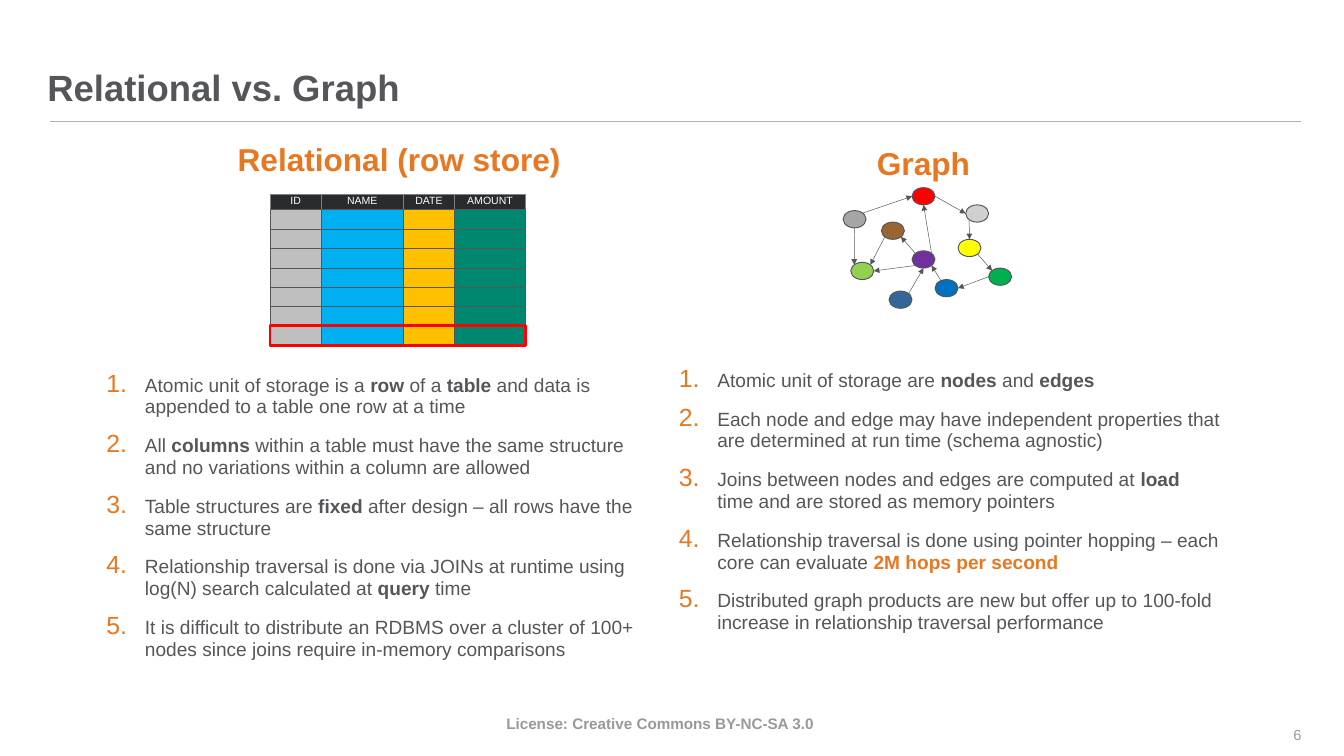
from dataclasses import dataclass
from itertools import accumulate

import pptx
import pptx.dml.color
import pptx.enum.shapes
import pptx.enum.text
import pptx.oxml
import pptx.oxml.ns
import pptx.util

ALIGN = pptx.enum.text.PP_ALIGN
ANCHOR = pptx.enum.text.MSO_ANCHOR
SHAPE = pptx.enum.shapes.MSO_SHAPE


@dataclass(frozen=True)
class Theme:
    """Colours and type sizes of the slide."""
    font: str = "Arial"
    ink: str = "55565A"
    accent: str = "E87722"
    rule: str = "B1B3B3"
    footer: str = "98999D"
    number: str = "999A9B"
    header: str = "2A2B2D"
    header_line: str = "808080"
    paper: str = "FFFFFF"
    alert: str = "FF0000"
    title_size: float = 38.2
    heading_size: float = 33.1
    list_size: float = 20
    footer_size: float = 16
    number_size: float = 15.3
    cell_size: float = 11


def rgb(code):
    """Return a colour from its hexadecimal code."""
    return pptx.dml.color.RGBColor.from_string(code)


def add_xml(parent, tag, **attributes):
    """Append a drawing element with the given attributes."""
    element = pptx.oxml.parse_xml(f"<a:{tag} {pptx.oxml.ns.nsdecls('a')}/>")
    for name, value in attributes.items():
        element.set(name, value)
    parent.append(element)
    return element


class SlideBuilder:
    """Draws styled elements; lengths are percentages of the slide size."""

    def __init__(self, deck, layout, theme):
        """Add a page with the given layout."""
        self.deck, self.theme = deck, theme
        self.page = deck.slides.add_slide(deck.slide_layouts[layout])
        self.canvas = self.page.shapes

    def begin_group(self):
        """Send the following shapes to a new group."""
        self.canvas = self.page.shapes.add_group_shape().shapes

    def lengths(self, x, y, *more):
        """Turn alternating width and height percentages into lengths."""
        sides = (self.deck.slide_width, self.deck.slide_height)
        return [round(share * sides[i % 2] / 100) for i, share in enumerate((x, y, *more))]

    def frame(self, box, anchor=ANCHOR.TOP, side=0):
        """Prepare the text frame of a box."""
        frame = box.text_frame
        frame.word_wrap = True
        frame.auto_size = pptx.enum.text.MSO_AUTO_SIZE.NONE
        frame.vertical_anchor = anchor
        frame.margin_top = frame.margin_bottom = 0
        frame.margin_left = frame.margin_right = pptx.util.Inches(side)
        return frame

    def style(self, para, size, color, bold=None, align=ALIGN.LEFT):
        """Set the font and alignment of a paragraph."""
        para.alignment = align
        para.font.name, para.font.size = self.theme.font, pptx.util.Pt(size)
        para.font.color.rgb, para.font.bold = rgb(color), bold

    def placeholder(self, index, area, anchor=ANCHOR.TOP):
        """Move a template placeholder and return its text frame."""
        box = self.page.placeholders[index]
        box.left, box.top, box.width, box.height = self.lengths(*area)
        return self.frame(box, anchor)

    def title(self, text, area):
        """Fill the title placeholder."""
        para = self.placeholder(0, area, ANCHOR.BOTTOM).paragraphs[0]
        para.text, para.line_spacing = text, 0.9
        self.style(para, self.theme.title_size, self.theme.ink, True)

    def heading(self, index, text, area):
        """Fill a column heading placeholder."""
        para = self.placeholder(index, area).paragraphs[0]
        para.text, para.line_spacing = text, 0.95
        para.space_before = pptx.util.Pt(0)
        self.style(para, self.theme.heading_size, self.theme.accent, True, ALIGN.CENTER)

    def numbered_list(self, index, items, area):
        """Fill a body placeholder; spans split at |, * is bold, ! is bold accent."""
        frame = self.placeholder(index, area)
        for i, item in enumerate(items):
            para = frame.add_paragraph() if i else frame.paragraphs[0]
            para.line_spacing = 0.95
            para.space_before = pptx.util.Pt(10.2 if i else 0)
            para.space_after = pptx.util.Pt(7.7)
            properties = para._p.get_or_add_pPr()
            indent = pptx.util.Inches(0.56)
            properties.set("marL", str(indent))
            properties.set("indent", str(-indent))
            add_xml(add_xml(properties, "buClr"), "srgbClr", val=self.theme.accent)
            add_xml(properties, "buSzPct", val="130000")
            add_xml(properties, "buFont", typeface=self.theme.font)
            add_xml(properties, "buAutoNum", type="arabicPeriod")
            self.style(para, self.theme.list_size, self.theme.ink)
            for part in item.split("|"):
                span = para.add_run()
                span.text = part.lstrip("*!")
                if part[0] in "*!":
                    span.font.bold = True
                if part[0] == "!":
                    span.font.color.rgb = rgb(self.theme.accent)

    def label(self, text, area, size, color, align, bold=None, anchor=ANCHOR.TOP):
        """Add a one-line text box."""
        box = self.canvas.add_textbox(*self.lengths(*area))
        para = self.frame(box, anchor).paragraphs[0]
        para.text = text
        self.style(para, size, color, bold, align)

    def shape(self, kind, area, fill=None, line=None, weight=1, text=None):
        """Add a preset shape, filled or hollow."""
        box = self.canvas.add_shape(kind, *self.lengths(*area))
        box.shadow.inherit = False
        if fill:
            box.fill.solid()
            box.fill.fore_color.rgb = rgb(fill)
        else:
            box.fill.background()
        box.line.color.rgb = rgb(line or self.theme.ink)
        box.line.width = pptx.util.Pt(weight)
        if text:
            para = self.frame(box, side=0.1).paragraphs[0]
            para.text = text
            self.style(para, self.theme.cell_size, self.theme.paper, align=ALIGN.CENTER)

    def line(self, start, end, color, weight, arrow=False):
        """Add a straight line, with an arrowhead at its end if wanted."""
        line = self.canvas.add_connector(
            pptx.enum.shapes.MSO_CONNECTOR.STRAIGHT, *self.lengths(*start, *end))
        line.line.color.rgb = rgb(color)
        line.line.width = pptx.util.Pt(weight)
        if arrow:
            add_xml(line.line._get_or_add_ln(), "tailEnd", type="triangle")
        add_xml(line._element.spPr, "effectLst")

    def row_store(self, columns, left, top, header, row, rows):
        """Draw a table schematic with its last row outlined."""
        self.begin_group()
        widths = [width for _, width, _ in columns]
        for (name, width, fill), x in zip(columns, accumulate(widths, initial=left)):
            self.shape(SHAPE.RECTANGLE, (x, top, width, header),
                       self.theme.header, self.theme.header_line, text=name)
            for i in range(rows):
                self.shape(SHAPE.RECTANGLE, (x, top + header + i * row, width, row), fill)
        last = top + header + (rows - 1) * row
        self.shape(SHAPE.RECTANGLE, (left, last - 0.16, sum(widths), row + 0.16),
                   line=self.theme.alert, weight=3)

    def graph(self, nodes, edges, left, top, column, row):
        """Draw nodes three cells wide and high, and arrows between their anchors."""
        self.begin_group()
        near, far = 0.15, 0.85
        anchors = {"n": (0.5, 0), "s": (0.5, 1), "w": (0, 0.5), "e": (1, 0.5),
                   "nw": (near, near), "ne": (far, near), "sw": (near, far),
                   "se": (far, far), "nnw": (0.3, near)}

        def point(name, anchor):
            """Locate an anchor of a node."""
            (x, y, _), (across, down) = nodes[name], anchors[anchor]
            return left + (x + 3 * across) * column, top + (y + 3 * down) * row

        for x, y, fill in nodes.values():
            self.shape(SHAPE.OVAL, (left + x * column, top + y * row, 3 * column, 3 * row), fill)
        for start, leave, end, enter in map(str.split, edges):
            self.line(point(start, leave), point(end, enter), self.theme.ink, 0.5, True)


def main():
    """Build and save the slide."""
    theme = Theme()
    deck = pptx.Presentation()
    deck.slide_width, deck.slide_height = pptx.util.Inches(19.56), pptx.util.Inches(11)
    slide = SlideBuilder(deck, 4, theme)
    slide.line((3.73, 16.09), (96.83, 16.09), theme.rule, 1)
    slide.label("License: Creative Commons BY-NC-SA 3.0", (29.4, 94.45, 39.42, 3.36),
                theme.footer_size, theme.footer, ALIGN.CENTER, True)
    slide.label("6", (92.38, 94.55, 4.45, 5.36), theme.number_size, theme.number,
                ALIGN.RIGHT, anchor=ANCHOR.MIDDLE)
    slide.title("Relational vs. Graph", (3.53, 5.55, 80.67, 8.91))
    slide.heading(1, "Relational (row store)", (16.82, 18.91, 25.77, 4.55))
    slide.numbered_list(2, [
        "Atomic unit of storage is a |*row| of a |*table| and data is appended to a table one row at a time",
        "All |*columns| within a table must have the same structure and no variations within a column are allowed",
        "Table structures are |*fixed| after design – all rows have the same structure",
        "Relationship traversal is done via JOINs at runtime using log(N) search calculated at |*query| time",
        "It is difficult to distribute an RDBMS over a cluster of 100+ nodes since joins require in-memory comparisons",
    ], (7.92, 49.55, 39.37, 39.64))
    slide.heading(3, "Graph", (48.62, 19.36, 40.18, 7.18))
    slide.numbered_list(4, [
        "Atomic unit of storage are |*nodes| and |*edges",
        "Each node and edge may have independent properties that are determined at run time (schema agnostic)",
        "Joins between nodes and edges are computed at |*load| time and are stored as memory pointers",
        "Relationship traversal is done using pointer hopping – each core can evaluate |!2M hops per second",
        "Distributed graph products are new but offer up to 100-fold increase in relationship traversal performance",
    ], (50.51, 48.91, 40.34, 39.64))
    nodes = {"red": (9, 0, "FF0000"), "brown": (5, 6, "996633"), "purple": (9, 11, "7030A0"),
             "silver": (16, 3, "D0D0CE"), "yellow": (15, 9, "FFFF00"), "lime": (1, 13, "92D050"),
             "blue": (12, 16, "0070C0"), "gray": (0, 4, "A6A6A6"), "green": (19, 14, "00B050"),
             "steel": (6, 18, "336699")}
    edges = ["gray ne red w", "red e silver w", "silver sw yellow n", "yellow se green nw",
             "green w blue e", "blue nnw purple se", "purple nw brown se", "brown sw lime ne",
             "gray s lime nw", "purple ne red s", "purple sw lime e", "steel ne purple s"]
    slide.graph(nodes, edges, left=62.73, top=24.82, column=0.57, row=0.76)
    columns = [("ID", 3.83, "BFBFBF"), ("NAME", 6.08, "00B0F0"),
               ("DATE", 3.83, "FFC000"), ("AMOUNT", 5.27, "008770")]
    slide.row_store(columns, left=20.09, top=25.73, header=2.02, row=2.57, rows=7)
    deck.save("out.pptx")


if __name__ == "__main__":
    main()
